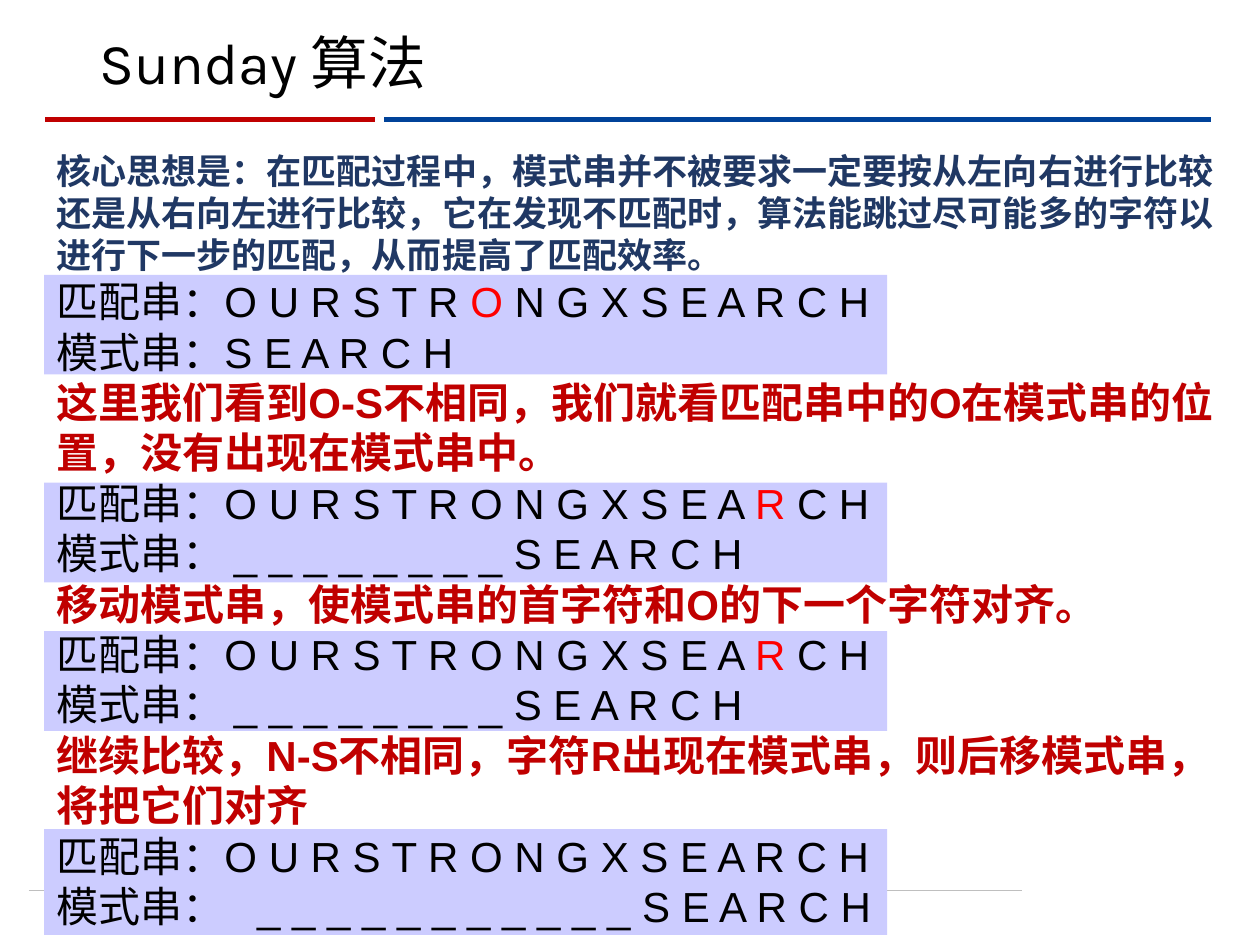
import lxml.etree
import pptx
import pptx.dml.color
import pptx.enum.shapes
import pptx.enum.text
import pptx.oxml.ns
import pptx.util

Pt = pptx.util.Pt

COLORS = {
    "red": "C00000",
    "blue": "004299",
    "gray": "BFBFBF",
    "band": "CCCCFF",
    "navy": "203864",
    "black": "000000",
    "mark": "FF0000",
}

PATTERN = "S E A R C H"
TEXT = "O U R S T R O N G X S E A R C H"


def rgb(name):
    return pptx.dml.color.RGBColor.from_string(COLORS[name])


def add_text(para, text, size=24, font="Arial", color="black", bold=False, spacing=0):
    span = para.add_run()
    span.text = text
    span.font.size = Pt(size)
    span.font.name = font
    span.font.bold = bold
    span.font.color.rgb = rgb(color)
    if spacing:
        span.font._element.set("spc", str(round(spacing * 100)))


def add_rule(page, left, right, top, color, width):
    rule = page.shapes.add_connector(
        pptx.enum.shapes.MSO_CONNECTOR.STRAIGHT, Pt(left), Pt(top), Pt(right), Pt(top)
    )
    rule.line.color.rgb = rgb(color)
    rule.line.width = Pt(width)
    lxml.etree.SubElement(rule._element.spPr, pptx.oxml.ns.qn("a:effectLst"))


def add_title(page, left, top, width, height):
    title = page.shapes.title
    title.left, title.top, title.width, title.height = map(Pt, (left, top, width, height))
    frame = title.text_frame
    frame.word_wrap = True
    frame.vertical_anchor = pptx.enum.text.MSO_ANCHOR.MIDDLE
    para = frame.paragraphs[0]
    para.alignment = pptx.enum.text.PP_ALIGN.LEFT
    para.line_spacing = 0.9
    add_text(para, "Sunday 算法", size=33, font="Karla")


def add_band(page, left, top, width, height):
    band = page.shapes.add_shape(
        pptx.enum.shapes.MSO_SHAPE.RECTANGLE, Pt(left), Pt(top), Pt(width), Pt(height)
    )
    band.shadow.inherit = False
    band.fill.solid()
    band.fill.fore_color.rgb = rgb("band")
    band.line.fill.background()


def add_comparison(frame, shift, marked=None, indent=0):
    para = frame.add_paragraph()
    if marked is None:
        add_text(para, "匹配串：" + TEXT)
    else:
        position = 2 * marked
        add_text(para, "匹配串：" + TEXT[:position])
        add_text(para, TEXT[position], color="mark")
        add_text(para, TEXT[position + 1:])
    para = frame.add_paragraph()
    add_text(para, "模式串：")
    if shift:
        add_text(para, " ", spacing=indent)
        add_text(para, "_ " * shift)
    add_text(para, PATTERN)


def add_remark(frame, text):
    add_text(frame.add_paragraph(), text, color="red", bold=True)


def add_explanation(page, left, top, width, height):
    box = page.shapes.add_textbox(Pt(left), Pt(top), Pt(width), Pt(height))
    frame = box.text_frame
    frame.word_wrap = True
    frame.auto_size = pptx.enum.text.MSO_AUTO_SIZE.SHAPE_TO_FIT_TEXT
    add_text(
        frame.paragraphs[0],
        "核心思想是：在匹配过程中，模式串并不被要求一定要按从左向右进行比较"
        "还是从右向左进行比较，它在发现不匹配时，算法能跳过尽可能多的字符以"
        "进行下一步的匹配，从而提高了匹配效率。",
        size=20, color="navy", bold=True,
    )
    add_comparison(frame, shift=0, marked=6)
    add_remark(frame, "这里我们看到O-S不相同，我们就看匹配串中的O在模式串的位置，没有出现在模式串中。")
    add_comparison(frame, shift=8, marked=13)
    add_remark(frame, "移动模式串，使模式串的首字符和O的下一个字符对齐。")
    add_comparison(frame, shift=8, marked=13)
    add_remark(frame, "继续比较，N-S不相同，字符R出现在模式串，则后移模式串，将把它们对齐")
    add_comparison(frame, shift=11, indent=13.3)


def main():
    deck = pptx.Presentation()
    deck.slide_width, deck.slide_height = Pt(720), Pt(540)
    page = deck.slides.add_slide(deck.slide_layouts[5])

    add_rule(page, 16.5, 584, 509, "gray", 0.5)
    add_rule(page, 219.6, 692, 68.4, "blue", 3)
    add_rule(page, 26, 214.5, 68.4, "red", 3)
    for top, height in ((157, 57), (275.8, 57), (360.7, 57), (473.8, 60.5)):
        add_band(page, 25.2, top, 481.7, height)
    add_explanation(page, 25.2, 82, 695, 458)
    add_title(page, 49.7, 15, 620.6, 45.5)

    deck.save("out.pptx")


if __name__ == "__main__":
    main()
